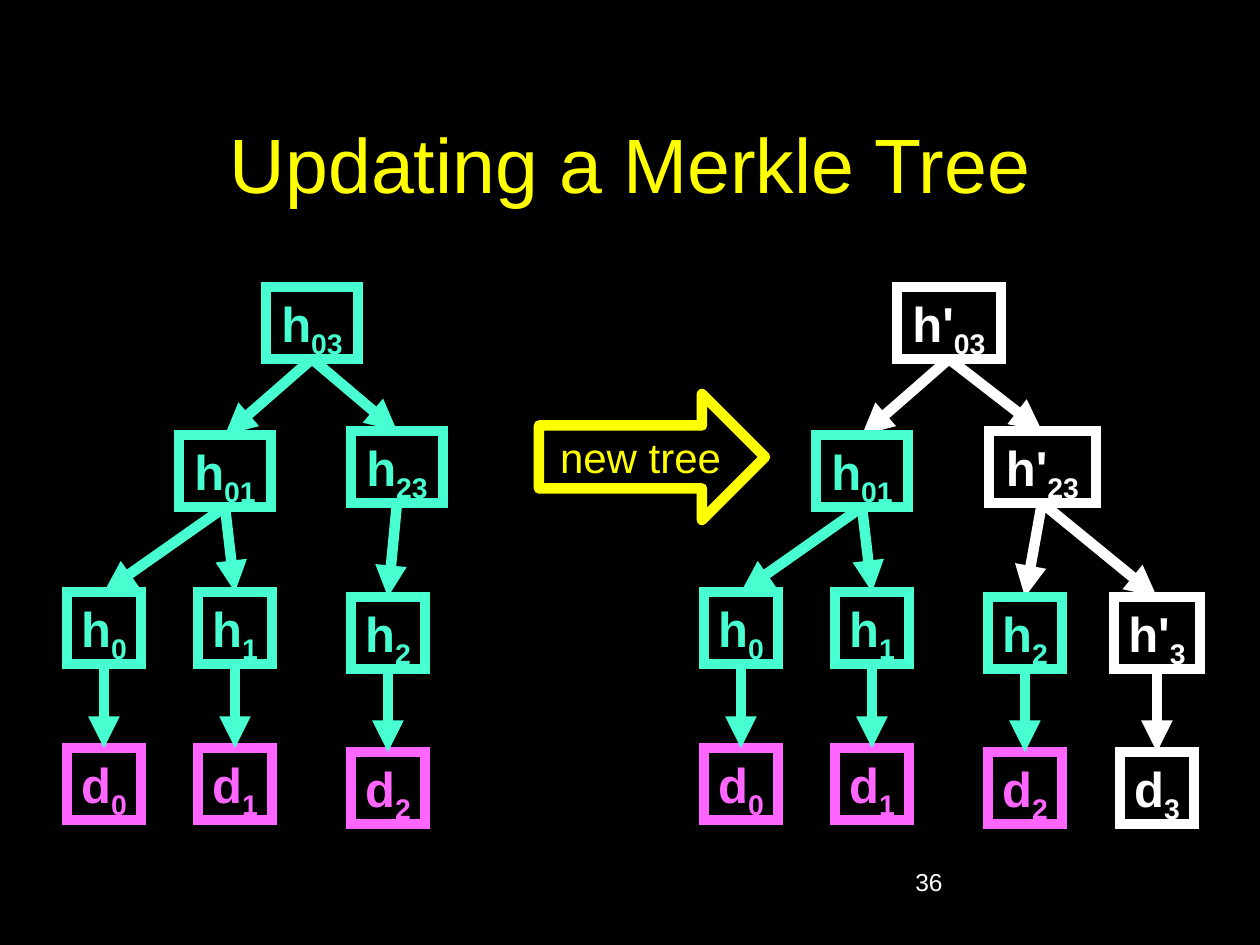
from lxml.etree import SubElement
from pptx import Presentation
from pptx.dml.color import RGBColor
from pptx.enum.shapes import MSO_CONNECTOR as CONN, MSO_SHAPE as SHAPE
from pptx.enum.text import MSO_ANCHOR as ANCHOR, MSO_AUTO_SIZE as AUTO, PP_ALIGN as ALIGN
from pptx.oxml.ns import qn
from pptx.util import Emu, Pt

BLACK = RGBColor(0x00, 0x00, 0x00)
WHITE = RGBColor(0xFF, 0xFF, 0xFF)
YELLOW = RGBColor(0xFF, 0xFF, 0x00)
MINT = RGBColor(0x47, 0xFF, 0xD1)
PINK = RGBColor(0xFF, 0x66, 0xFF)

FONT = "Arial"
LINE = Pt(6)
NODE_H = 72
TREE_GAP = 637  # distance between the two trees

# Nodes: centre x, top, width, colour, letter, subscript
OLD_NODES = {
    "h03": (312, 287, 92, MINT, "h", "03"),
    "h01": (225, 435, 92, MINT, "h", "01"),
    "h23": (397, 431, 92, MINT, "h", "23"),
    "h0": (104, 592, 74, MINT, "h", "0"),
    "h1": (235, 592, 74, MINT, "h", "1"),
    "h2": (388, 597, 74, MINT, "h", "2"),
    "d0": (104, 748, 74, PINK, "d", "0"),
    "d1": (235, 748, 74, PINK, "d", "1"),
    "d2": (388, 752, 74, PINK, "d", "2"),
}
NEW_NODES = {name: (x + TREE_GAP, *rest) for name, (x, *rest) in OLD_NODES.items()}
NEW_NODES.update({
    "h03": (949, 287, 104, WHITE, "h'", "03"),
    "h23": (1042, 431, 107, WHITE, "h'", "23"),
    "h3": (1157, 597, 86, WHITE, "h'", "3"),
    "d3": (1157, 752, 74, WHITE, "d", "3"),
})

# Drawing order: a node, or an edge written parent>child
OLD_ORDER = ("h03 h03>h01 h03>h23 h0 d0 h0>d0 h1 d1 h1>d1 h01>h0 h01>h1 "
             "h01 h23 h23>h2 h2 d2 h2>d2").split()
NEW_ORDER = OLD_ORDER + "h23>h3 h3 d3 h3>d3".split()


def px(n):
    return Emu(round(n * 914400 / 126))


class Deck:
    def __init__(self, width, height):
        self.prs = Presentation()
        self.prs.slide_width, self.prs.slide_height = px(width), px(height)
        self.s = self.prs.slides.add_slide(self.prs.slide_layouts[5])
        self.s.background.fill.solid()
        self.s.background.fill.fore_color.rgb = BLACK

    def run(self, p, text, size, color, bold=False, baseline=0):
        r = p.add_run()
        r.text = text
        r.font.name, r.font.size, r.font.bold = FONT, Pt(size), bold
        r.font.color.rgb = color
        if baseline:
            r.font._element.set("baseline", str(baseline * 1000))

    def title(self, x, y, w, h, text):
        sp = self.s.shapes.title
        sp.left, sp.top, sp.width, sp.height = map(px, (x, y, w, h))
        sp.text_frame.vertical_anchor = ANCHOR.MIDDLE
        p = sp.text_frame.paragraphs[0]
        p.alignment = ALIGN.CENTER
        self.run(p, text, 44, YELLOW)

    def label(self, x, y, w, h, text, size, color):
        tf = self.s.shapes.add_textbox(*map(px, (x, y, w, h))).text_frame
        tf.word_wrap = True
        self.run(tf.paragraphs[0], text, size, color)

    def outline(self, shapes, kind, box, color, join, anchor, align):
        """Add a black shape with a thick outline; return its paragraph."""
        sp = shapes.add_shape(kind, *map(px, box))
        sp.shadow.inherit = False
        sp.fill.solid()
        sp.fill.fore_color.rgb = BLACK
        sp.line.color.rgb, sp.line.width = color, LINE
        SubElement(sp.line._get_or_add_ln(), qn(join))
        tf = sp.text_frame
        tf.word_wrap, tf.auto_size = False, AUTO.SHAPE_TO_FIT_TEXT
        tf.vertical_anchor = anchor
        p = tf.paragraphs[0]
        p.alignment = align
        return p

    def node(self, shapes, x, y, w, color, letter, sub):
        p = self.outline(shapes, SHAPE.RECTANGLE, (x - w // 2, y, w, NODE_H),
                         color, "a:miter", ANCHOR.TOP, ALIGN.CENTER)
        self.run(p, letter, 28, color, True)
        self.run(p, sub, 28, color, True, -25)

    def edge(self, shapes, parent, child):
        ends = parent[0], parent[1] + NODE_H, child[0], child[1]
        c = shapes.add_connector(CONN.STRAIGHT, *map(px, ends))
        c.line.color.rgb, c.line.width = parent[3], LINE
        SubElement(c.line._get_or_add_ln(), qn("a:tailEnd"), type="triangle")
        SubElement(c._element.spPr, qn("a:effectLst"))

    def tree(self, nodes, order):
        shapes = self.s.shapes.add_group_shape().shapes
        for step in order:
            if ">" in step:
                self.edge(shapes, *(nodes[name] for name in step.split(">")))
            else:
                self.node(shapes, *nodes[step])

    def block_arrow(self, x, y, w, h, text):
        p = self.outline(self.s.shapes, SHAPE.RIGHT_ARROW, (x, y, w, h),
                         YELLOW, "a:round", ANCHOR.MIDDLE, ALIGN.RIGHT)
        self.run(p, text, 24, YELLOW)


def main():
    deck = Deck(1260, 945)

    # Heading and page number
    deck.title(95, 84, 1071, 158, "Updating a Merkle Tree")
    deck.label(903, 861, 262, 63, "36", 14, WHITE)

    # Tree before and after the update
    deck.tree(OLD_NODES, OLD_ORDER)
    deck.tree(NEW_NODES, NEW_ORDER)
    deck.block_arrow(539, 394, 226, 126, "new tree")

    deck.prs.save("out.pptx")


if __name__ == "__main__":
    main()
